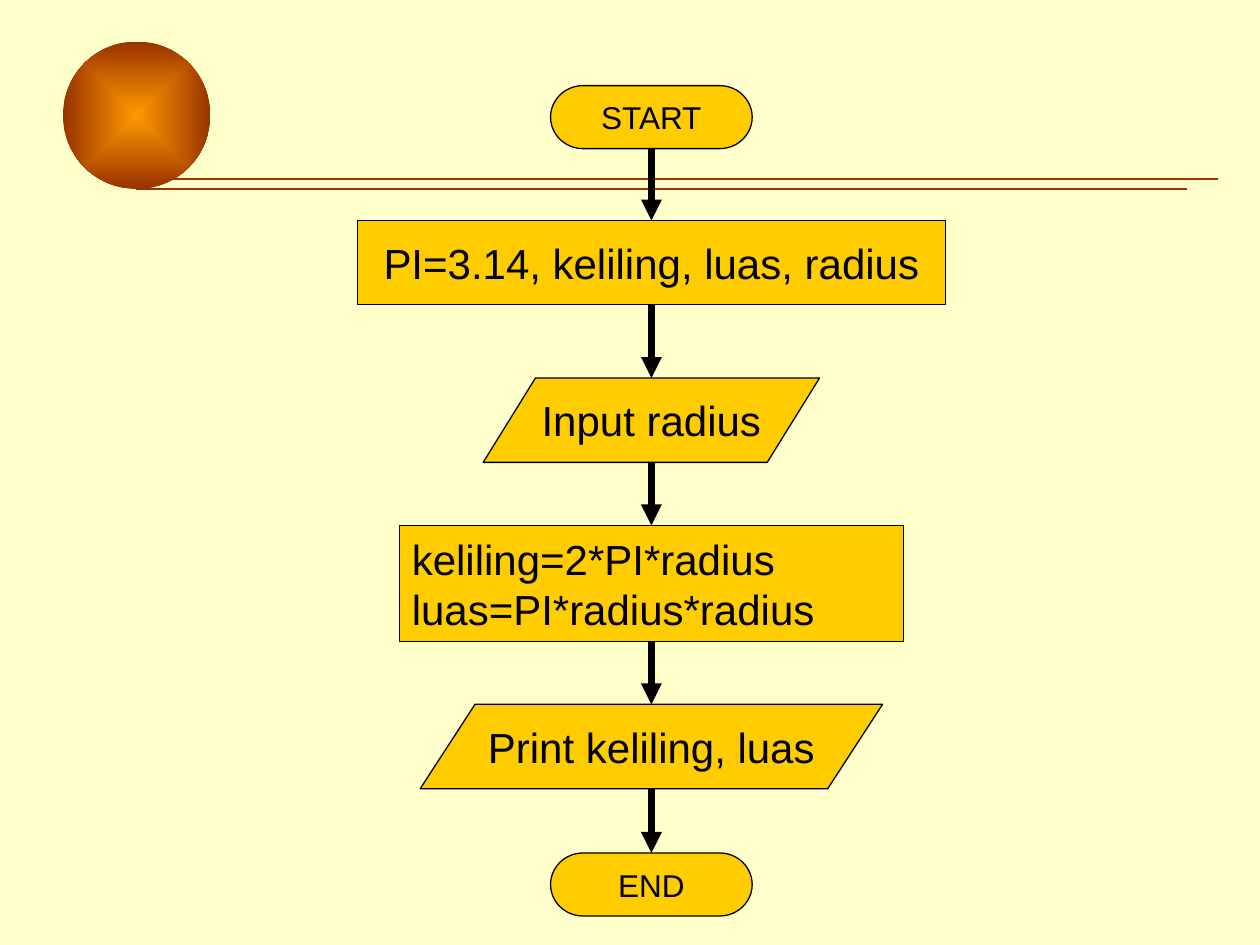
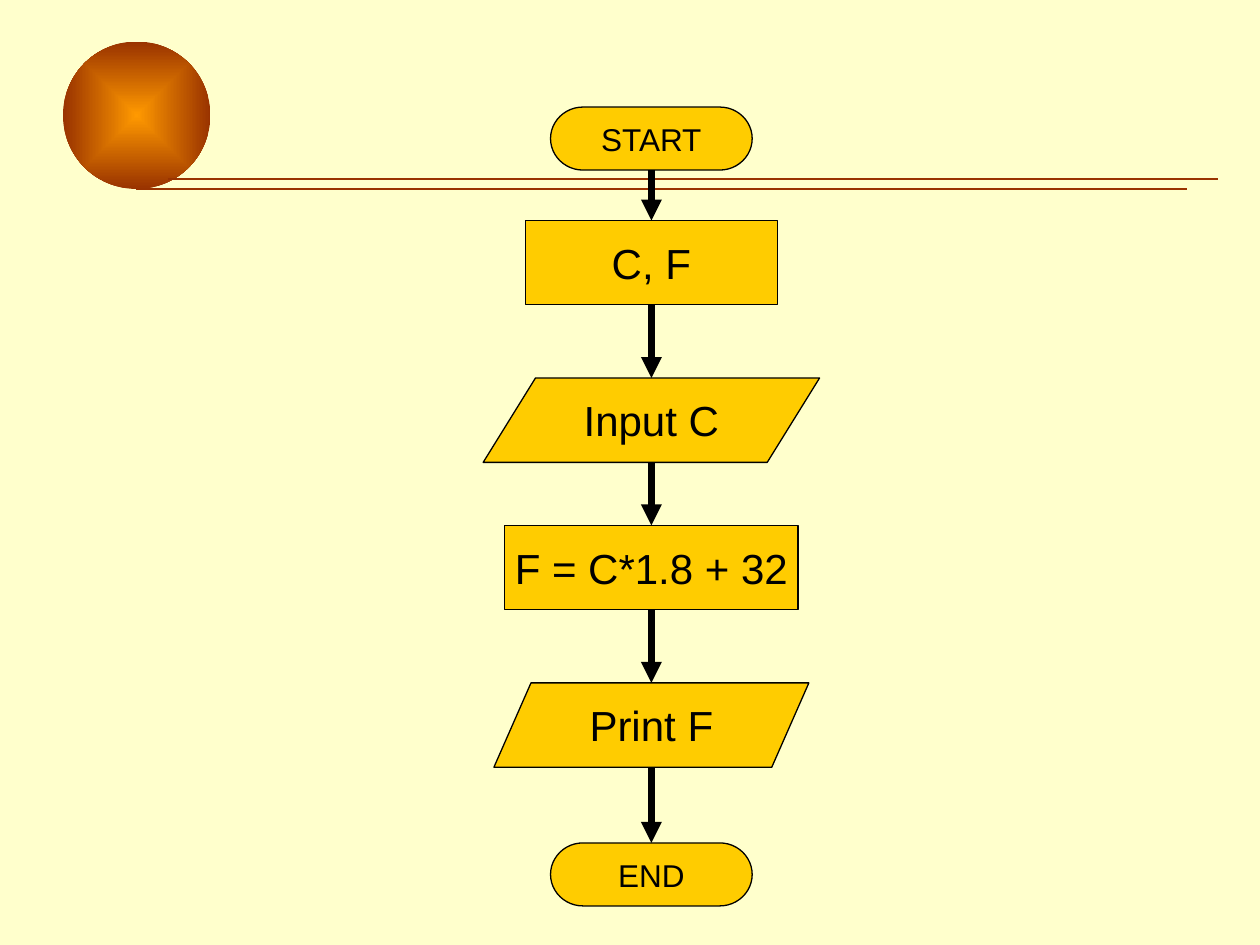
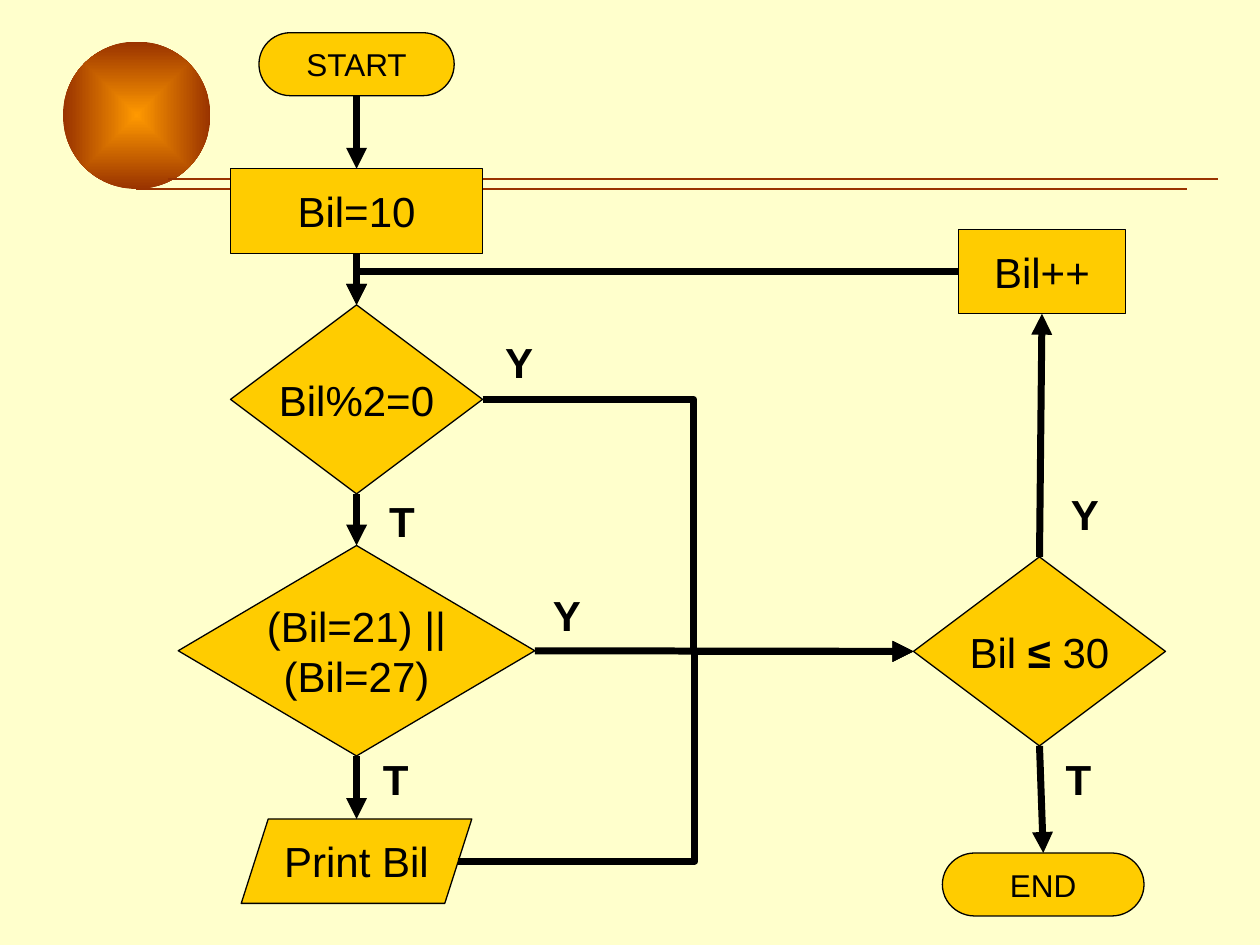
from dataclasses import dataclass

from lxml.etree import SubElement
from pptx import Presentation
from pptx.dml.color import RGBColor as Rgb
from pptx.enum.shapes import MSO_CONNECTOR as Conn, MSO_SHAPE as Kind
from pptx.enum.text import MSO_ANCHOR as Anchor, MSO_AUTO_SIZE as Fit, PP_ALIGN as Align
from pptx.oxml.ns import qn
from pptx.util import Inches, Pt


@dataclass(frozen=True)
class Theme:
    paper: Rgb = Rgb(0xFF, 0xFF, 0xCC)
    node: Rgb = Rgb(0xFF, 0xCC, 0x00)
    ink: Rgb = Rgb(0x00, 0x00, 0x00)
    rust: Rgb = Rgb(0x99, 0x33, 0x00)
    glow: Rgb = Rgb(0xFF, 0x99, 0x00)
    font: str = "Arial"
    text: int = 24
    small: int = 18
    thin: float = 0.75
    thick: float = 4


class Deck:
    def __init__(self, theme):
        self.theme = theme
        self.prs = Presentation()
        self.prs.slide_width = Inches(10)
        self.prs.slide_height = Inches(7.5)
        self.slide = None

    def add(self):
        self.slide = self.prs.slides.add_slide(self.prs.slide_layouts[6])

    def frame(self):
        master = self.prs.slide_master
        fill = master.background.fill
        fill.solid()
        fill.fore_color.rgb = self.theme.paper
        parts = [
            self.ball(0.5, 0.33, 1.17),
            self.line((1.08, 1.5), (9.42, 1.5), self.theme.rust, self.theme.thin),
            self.line((1.33, 1.42), (9.67, 1.42), self.theme.rust, self.theme.thin),
        ]
        for num, part in enumerate(parts, 101):
            part.element.xpath(".//p:cNvPr")[0].set("id", str(num))
            master.shapes.element.append(part.element)

    def ball(self, left, top, size):
        shape = self.slide.shapes.add_shape(
            Kind.OVAL, Inches(left), Inches(top), Inches(size), Inches(size))
        shape.shadow.inherit = False
        shape.line.fill.background()
        shape.fill.gradient()
        stops = shape.fill.gradient_stops
        for stop, place, color in zip(stops, (0, 1), (self.theme.glow, self.theme.rust)):
            stop.position = place
            stop.color.rgb = color
        grad = shape.element.spPr.find(qn("a:gradFill"))
        grad.remove(grad.find(qn("a:lin")))
        route = SubElement(grad, qn("a:path"), {"path": "rect"})
        SubElement(route, qn("a:fillToRect"), l="50000", t="50000", r="50000", b="50000")
        return shape

    def line(self, start, end, color, width, kind=Conn.STRAIGHT):
        ends = [Inches(n) for n in (*start, *end)]
        line = self.slide.shapes.add_connector(kind, *ends)
        line.line.color.rgb = color
        line.line.width = Pt(width)
        SubElement(line.element.spPr, qn("a:effectLst"))
        return line

    def arrow(self, start, end, kind=Conn.STRAIGHT):
        line = self.line(start, end, self.theme.ink, self.theme.thick, kind)
        SubElement(line.element.spPr.find(qn("a:ln")), qn("a:tailEnd"), type="triangle")
        return line

    def bend(self, start, end, turn=None):
        line = self.arrow(start, end, Conn.ELBOW)
        geom = line.element.spPr.find(qn("a:prstGeom"))
        if turn is None:
            geom.set("prst", "bentConnector2")
        else:
            SubElement(geom.find(qn("a:avLst")), qn("a:gd"),
                       name="adj1", fmla=f"val {round(turn * 100000)}")

    def label(self, shape, lines, size, align, bold=False):
        frame = shape.text_frame
        frame.word_wrap = False
        for num, parts in enumerate(lines):
            para = frame.add_paragraph() if num else frame.paragraphs[0]
            para.alignment = align
            for spot, part in enumerate((parts,) if isinstance(parts, str) else parts):
                run = para.add_run()
                run.text = part
                font = run.font
                font.name = self.theme.font
                font.size = Pt(size)
                font.color.rgb = self.theme.ink
                font.bold = bold or spot % 2 == 1

    def node(self, kind, lines, mid, top, wide, high, slant=None,
             size=None, align=Align.CENTER):
        shape = self.slide.shapes.add_shape(
            kind, Inches(mid - wide / 2), Inches(top), Inches(wide), Inches(high))
        shape.shadow.inherit = False
        shape.fill.solid()
        shape.fill.fore_color.rgb = self.theme.node
        shape.line.color.rgb = self.theme.ink
        shape.line.width = Pt(self.theme.thin)
        if slant is not None:
            shape.adjustments[0] = slant
        shape.text_frame.vertical_anchor = Anchor.MIDDLE
        self.label(shape, lines, size or self.theme.text, align)
        return shape

    def box(self, text, mid, top, wide, high=0.67, **more):
        return self.node(Kind.RECTANGLE, text, mid, top, wide, high, **more)

    def data(self, text, mid, top, wide, slant):
        return self.node(Kind.PARALLELOGRAM, text, mid, top, wide, 0.67, slant)

    def test(self, text, mid, top, wide=2, high=1.5):
        return self.node(Kind.DIAMOND, text, mid, top, wide, high)

    def cap(self, text, mid, top, wide=1.6):
        return self.node(Kind.FLOWCHART_TERMINATOR, [text], mid, top, wide, 0.5,
                         size=self.theme.small)

    def mark(self, text, left, top):
        shape = self.slide.shapes.add_textbox(
            Inches(left), Inches(top), Inches(0.41), Inches(0.5))
        self.label(shape, [text], self.theme.text, Align.LEFT, True)
        shape.text_frame.auto_size = Fit.SHAPE_TO_FIT_TEXT

    def side(self, shape, across, down):
        return ((shape.left + shape.width * across) / Inches(1),
                (shape.top + shape.height * down) / Inches(1))

    def chain(self, *nodes):
        for above, below in zip(nodes, nodes[1:]):
            self.arrow(self.side(above, 0.5, 1), self.side(below, 0.5, 0))


def circle(deck):
    mid = 5.17
    deck.chain(
        deck.cap("START", mid, 0.68),
        deck.box(["PI=3.14, keliling, luas, radius"], mid, 1.75, 4.67),
        deck.data(["Input radius"], mid, 3, 2.67, 0.62),
        deck.box(["keliling=2*PI*radius", "luas=PI*radius*radius"],
                 mid, 4.17, 4, 0.92, align=Align.LEFT),
        deck.data(["Print keliling, luas"], mid, 5.59, 3.67, 0.65),
        deck.cap("END", mid, 6.77))


def heat(deck):
    mid = 5.17
    deck.chain(
        deck.cap("START", mid, 0.85),
        deck.box(["C, F"], mid, 1.75, 2),
        deck.data(["Input C"], mid, 3, 2.67, 0.62),
        deck.box(["F = C*1.8 + 32"], mid, 4.17, 2.33),
        deck.data(["Print F"], mid, 5.42, 2.5, 0.44),
        deck.cap("END", mid, 6.69))


def loop(deck):
    mid = 2.83
    even = deck.test(["Bil%2=0"], mid, 2.42)
    skip = deck.test(["(Bil=21) ||", "(Bil=27)"], mid, 4.33, 2.83, 1.67)
    show = deck.data(["Print Bil"], mid, 6.5, 1.83, 0.32)
    deck.chain(deck.cap("START", mid, 0.26, 1.55),
               deck.box(["Bil=10"], mid, 1.34, 2), even, skip, show)

    limit = deck.test([("Bil ", "≤", " 30")], 8.25, 4.42)
    step = deck.box(["Bil++"], 8.27, 1.82, 1.33)
    deck.chain(limit, deck.cap("END", 8.28, 6.77))
    deck.arrow(deck.side(limit, 0.5, 0), deck.side(step, 0.5, 1))

    goal = deck.side(limit, 0, 0.5)
    deck.arrow(deck.side(skip, 1, 0.5), goal)
    deck.bend(deck.side(even, 1, 0.5), goal, 0.49)
    deck.bend(deck.side(show, 0.94, 0.5), goal, 0.52)
    deck.bend(deck.side(step, 0, 0.5), deck.side(even, 0.5, 0))

    for text, left, top in (
            ("Y", 3.91, 2.62), ("T", 2.99, 3.88), ("Y", 4.29, 4.63),
            ("T", 2.94, 5.93), ("Y", 8.4, 3.83), ("T", 8.36, 5.93)):
        deck.mark(text, left, top)


def main():
    deck = Deck(Theme())
    for num, draw in enumerate((circle, heat, loop)):
        deck.add()
        if num == 0:
            deck.frame()
        draw(deck)
    deck.prs.save("out.pptx")


if __name__ == "__main__":
    main()
